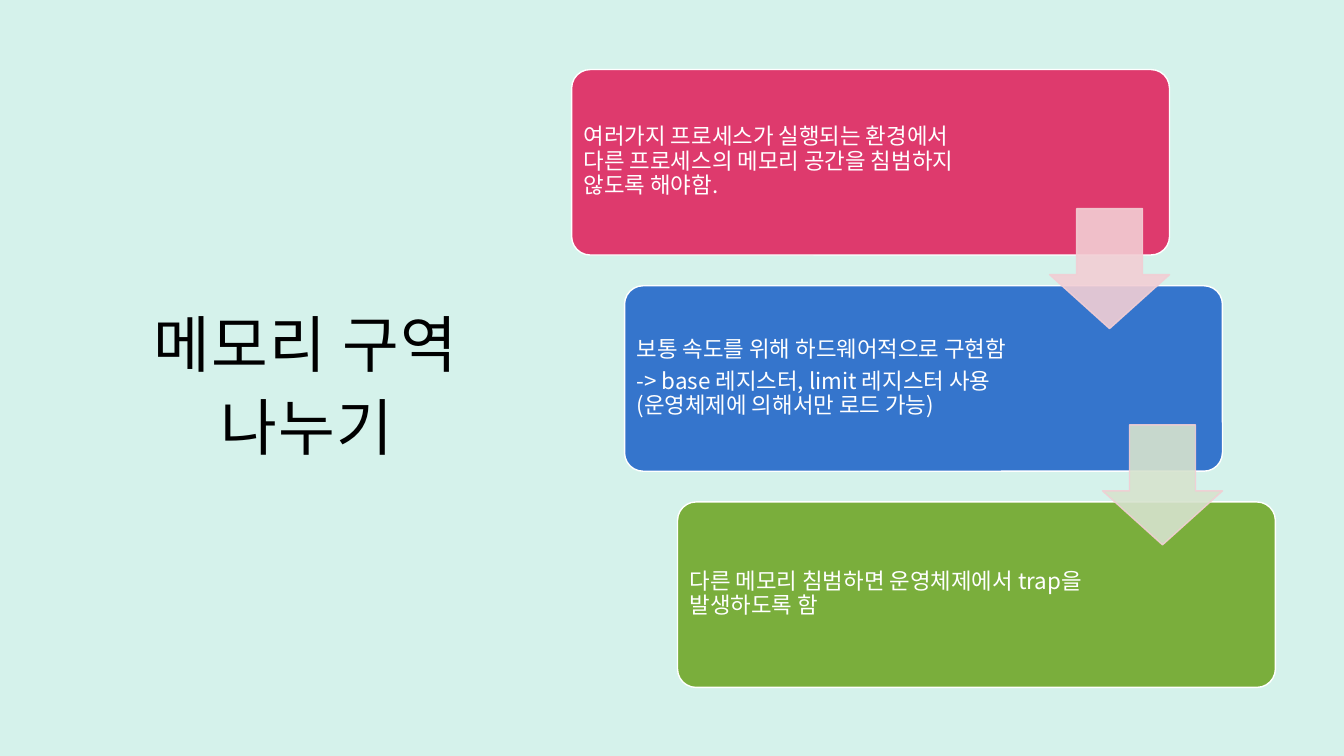
from lxml import etree
from pptx import Presentation
from pptx.dml.color import RGBColor
from pptx.enum.shapes import MSO_SHAPE as Preset
from pptx.enum.text import MSO_ANCHOR as Anchor, MSO_AUTO_SIZE as AutoSize, PP_ALIGN as Align
from pptx.oxml.ns import qn
from pptx.util import Inches, Pt

FONT = "Noto Sans CJK KR"
COLORS = {
    "background": "D5F2EB", "title": "000000", "white": "FFFFFF",
    "pink": "DE3A6D", "blue": "3575CC", "green": "7AAE3C",
    "pale pink": "F2CED4", "pale green": "D7E3CE",
}
# Fill, text width, paragraphs
STEPS = [
    ("pink", 3.95, ["여러가지 프로세스가 실행되는 환경에서 다른 프로세스의 메모리 공간을 침범하지 않도록 해야함."]),
    ("blue", 4.11, ["보통 속도를 위해 하드웨어적으로 구현함",
                    "-> base 레지스터, limit 레지스터 사용 (운영체제에 의해서만 로드 가능)"]),
    ("green", 4.11, ["다른 메모리 침범하면 운영체제에서 trap을 발생하도록 함"]),
]
ARROW_FILLS = ["pale pink", "pale green"]
STEP_WIDTH, STEP_HEIGHT = 5.93, 1.84
ARROW_SIZE = 1.19


def rgb(name):
    return RGBColor.from_string(COLORS[name])


def step_corner(index):
    return 5.67 + 0.525 * index, 0.69 + 2.145 * index


def set_frame(frame, anchor, left, top, right, bottom):
    frame.word_wrap = True
    frame.auto_size = AutoSize.NONE
    frame.vertical_anchor = anchor
    frame.margin_left, frame.margin_top = Inches(left), Inches(top)
    frame.margin_right, frame.margin_bottom = Inches(right), Inches(bottom)


def format_span(span, size, color):
    """Set the font for Latin and East Asian text alike."""
    span.font.size = Pt(size)
    span.font.name = FONT
    span.font.color.rgb = rgb(color)
    east_asian = etree.SubElement(span.font._element, qn("a:ea"))
    east_asian.set("typeface", FONT)


def add_preset(page, preset, left, top, width, height, fill, line, adjustments):
    shape = page.shapes.add_shape(preset, Inches(left), Inches(top), Inches(width), Inches(height))
    shape.shadow.inherit = False
    shape.fill.solid()
    shape.fill.fore_color.rgb = rgb(fill)
    shape.line.color.rgb = rgb(line)
    shape.line.width = Pt(1)
    for number, value in enumerate(adjustments):
        shape.adjustments[number] = value
    return shape


def set_opacity(shape, percent):
    """Make fill and line partly transparent."""
    for color in shape._element.spPr.iter(qn("a:srgbClr")):
        etree.SubElement(color, qn("a:alpha")).set("val", str(percent * 1000))


def set_title(page, text):
    title = page.shapes.title
    title.left, title.top = Inches(0.97), Inches(1.07)
    title.width, title.height = Inches(4.14), Inches(5.37)
    frame = title.text_frame
    frame.text = text
    set_frame(frame, Anchor.MIDDLE, 0.12, 0.12, 0.12, 0.1)
    para = frame.paragraphs[0]
    para.alignment = Align.CENTER
    para.line_spacing = 1.13
    span = para.runs[0]
    format_span(span, 44, "title")
    span.font._element.set("spc", "100")


def add_step(page, index, fill, text_width, lines):
    left, top = step_corner(index)
    add_preset(page, Preset.ROUNDED_RECTANGLE, left, top, STEP_WIDTH, STEP_HEIGHT,
               fill, "white", [0.1])
    box = page.shapes.add_textbox(Inches(left + 0.05), Inches(top + 0.05),
                                  Inches(text_width), Inches(1.73))
    frame = box.text_frame
    frame.text = "\n".join(lines)
    set_frame(frame, Anchor.MIDDLE, 0.07, 0.07, 0.07, 0.07)
    for para in frame.paragraphs:
        para.alignment = Align.LEFT
        para.line_spacing = 0.9
        para.space_after = Pt(5.6)
        format_span(para.runs[0], 16, "white")


def add_step_arrow(page, index, fill):
    """Lead from a step to the next, flush with the step's right edge."""
    left, top = step_corner(index)
    arrow = add_preset(page, Preset.DOWN_ARROW, left + STEP_WIDTH - ARROW_SIZE, top + 1.38,
                       ARROW_SIZE, ARROW_SIZE, fill, "pale pink", [0.55, 0.45])
    set_opacity(arrow, 90)


def main():
    deck = Presentation()
    deck.slide_width, deck.slide_height = Inches(13.33), Inches(7.5)
    page = deck.slides.add_slide(deck.slide_layouts[5])
    page.background.fill.solid()
    page.background.fill.fore_color.rgb = rgb("background")

    set_title(page, "메모리 구역 나누기")
    for index, (fill, text_width, lines) in enumerate(STEPS):
        add_step(page, index, fill, text_width, lines)
    for index, fill in enumerate(ARROW_FILLS):
        add_step_arrow(page, index, fill)

    deck.save("out.pptx")


if __name__ == "__main__":
    main()
